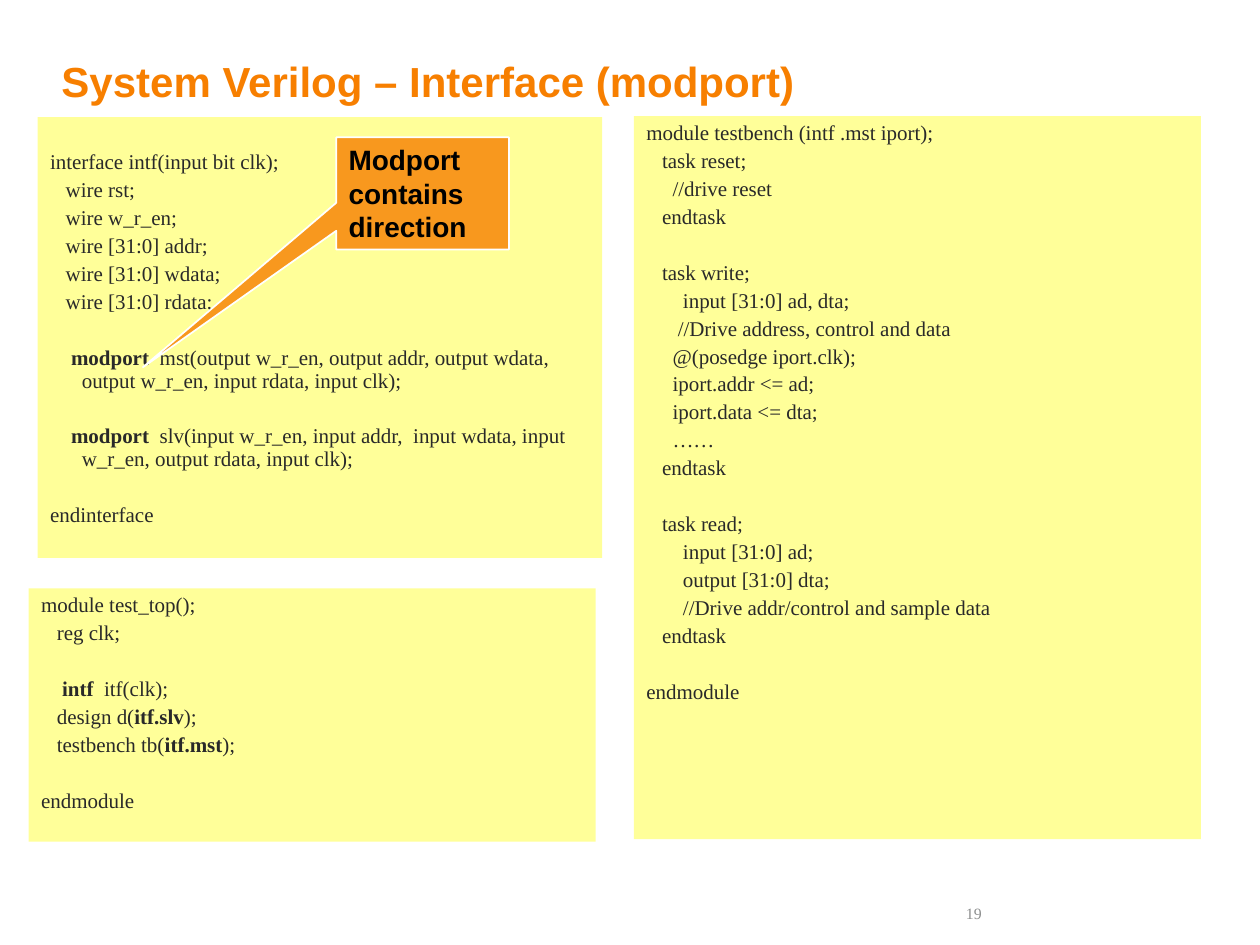
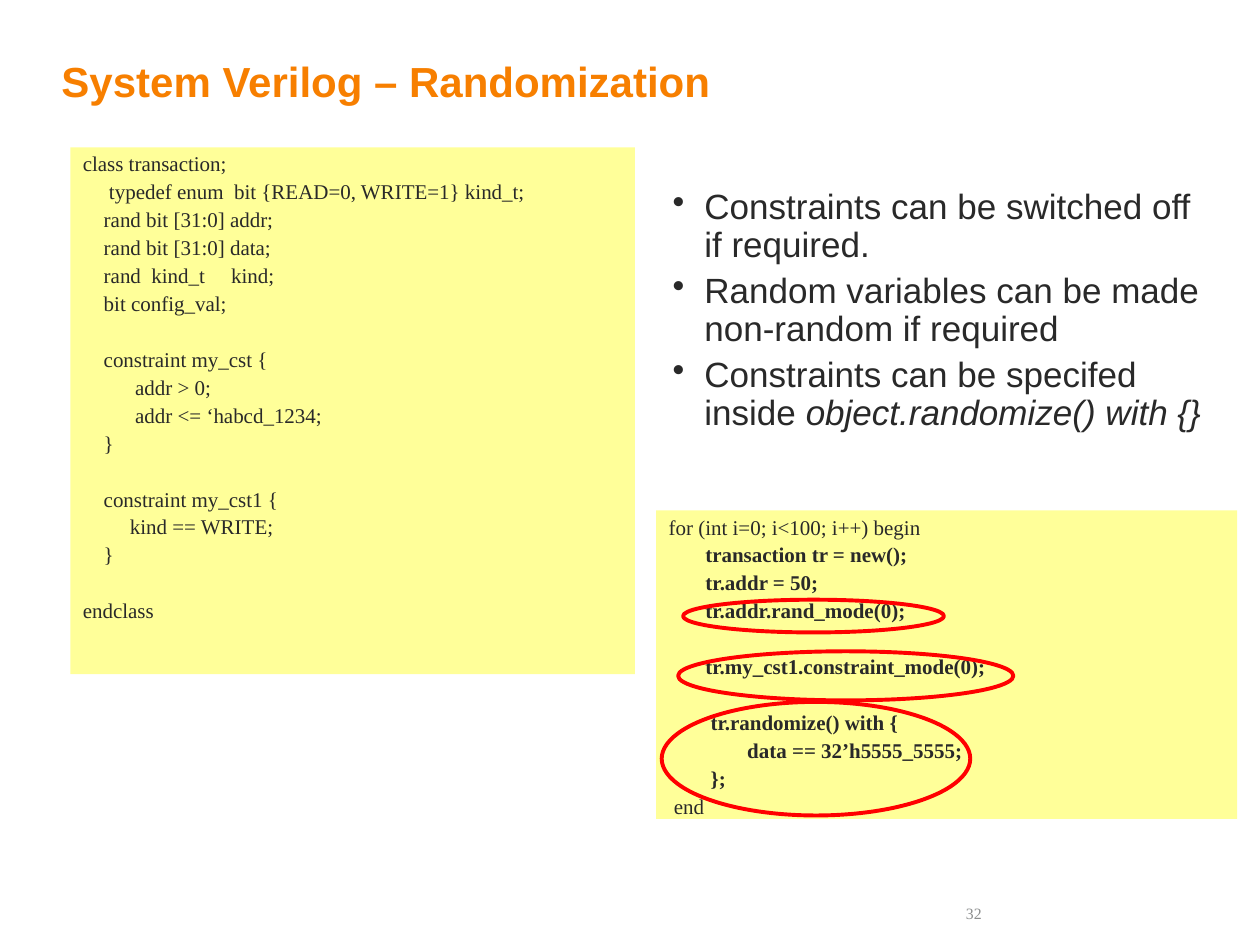
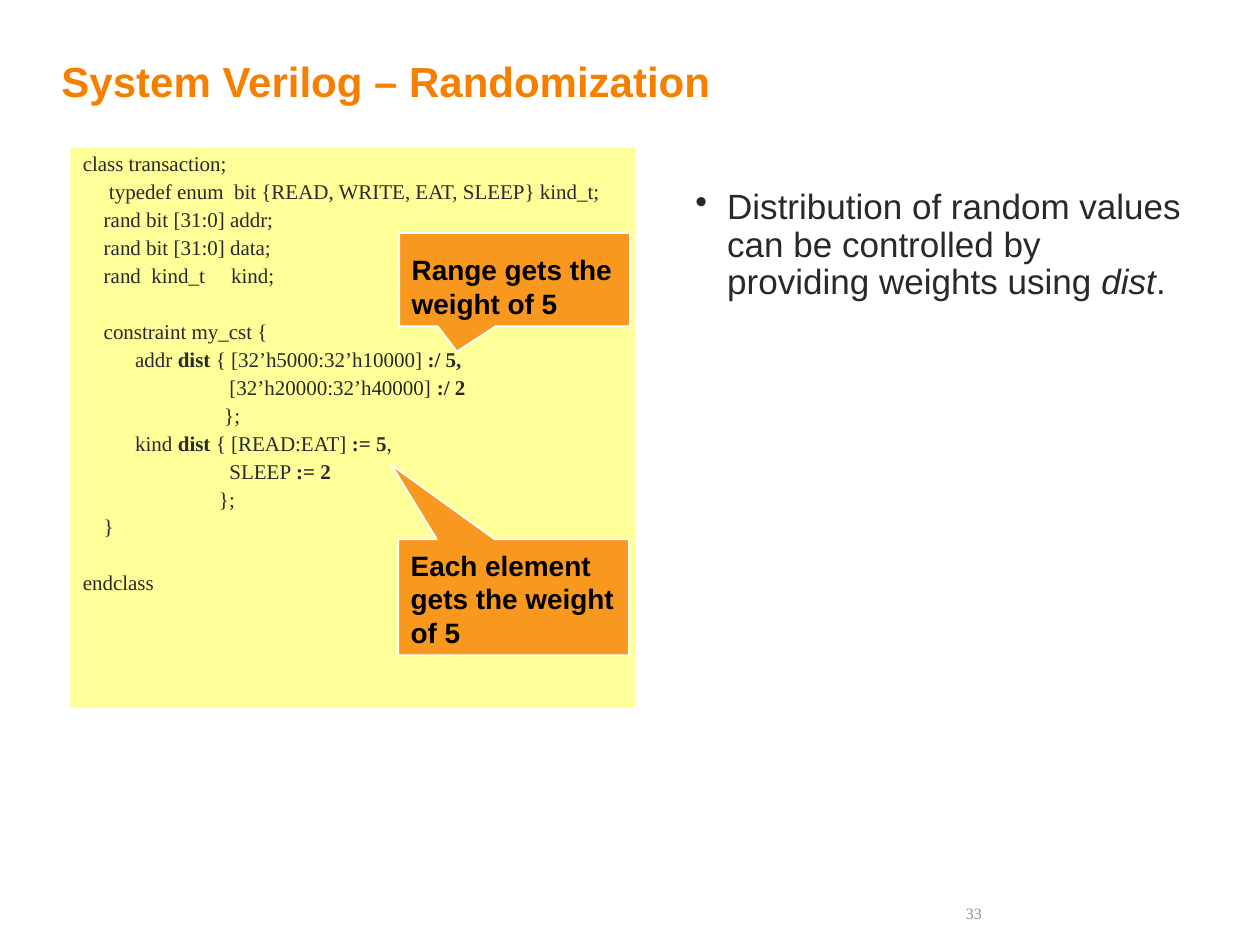
from lxml.etree import SubElement
from pptx import Presentation
from pptx.dml.color import RGBColor
from pptx.enum.shapes import MSO_SHAPE
from pptx.enum.text import MSO_ANCHOR, PP_ALIGN
from pptx.oxml.ns import qn
from pptx.util import Cm, Pt

COLORS = {
    "title": "F77F00",
    "callout": "F77F00",
    "callout_edge": "FFFFFF",
    "callout_text": "000000",
    "panel": "FFFF99",
    "body": "292929",
    "number": "8C8E8E",
    "highlight": "FF0000",
}
HEADING_FONT = "Arial"
CODE_FONT = "Times New Roman"
HANGING = Cm(0.64)
MARK = "**"

TESTBENCH = """
module testbench (intf .mst iport);
   task reset;
     //drive reset
   endtask

   task write;
       input [31:0] ad, dta;
      //Drive address, control and data
     @(posedge iport.clk);
     iport.addr <= ad;
     iport.data <= dta;
     ……
   endtask

   task read;
       input [31:0] ad;
       output [31:0] dta;
       //Drive addr/control and sample data
   endtask

endmodule
"""

TEST_TOP = """
module test_top();
   reg clk;

    **intf  **itf(clk);
   design d(**itf.slv**);
   testbench tb(**itf.mst**);

endmodule
"""

INTERFACE = """
interface intf(input bit clk);
   wire rst;
   wire w_r_en;
   wire [31:0] addr;
   wire [31:0] wdata;
   wire [31:0] rdata;

    **modport ** mst(output w_r_en, output addr, output wdata, output w_r_en, input rdata, input clk);

    **modport ** slv(input w_r_en, input addr,  input wdata, input w_r_en, output rdata, input clk);

endinterface
"""

CONSTRAINED_CLASS = """
class transaction;
     typedef enum  bit {READ=0, WRITE=1} kind_t;
    rand bit [31:0] addr;
    rand bit [31:0] data;
    rand  kind_t     kind;
    bit config_val;

    constraint my_cst {
          addr > 0;
          addr <= ‘habcd_1234;
    }

    constraint my_cst1 {
         kind == WRITE;
    }

endclass
"""

RANDOMIZE_LOOP = """
for (int i=0; i<100; i++) begin
**       transaction tr = new();**
       **tr.addr = 50;**
**       tr.addr.rand_mode(0);**

**       tr.my_cst1.constraint_mode(0);**

**        tr.randomize() with {**
**               data == 32’h5555_5555;**
**        };**
 end
"""

WEIGHTED_CLASS = """
class transaction;
     typedef enum  bit {READ, WRITE, EAT, SLEEP} kind_t;
    rand bit [31:0] addr;
    rand bit [31:0] data;
    rand  kind_t     kind;

    constraint my_cst {
          addr **dist **{ [32’h5000:32’h10000] **:/ 5,**
                            [32’h20000:32’h40000] **:/ 2**
                           };
          kind **dist **{ [READ:EAT] **:= 5**,
                            SLEEP **:= 2**
                          };
    }

endclass
"""

SWITCHING_POINTS = """
Constraints can be switched off if required.
Random variables can be made non-random if required
Constraints can be specifed inside **object.randomize() with {}**
"""

WEIGHT_POINTS = """
Distribution of random values can be controlled by providing weights using **dist**.
"""


def rgb(role):
    """Return the colour that the palette gives to a role."""
    return RGBColor.from_string(COLORS[role])


def hang(paragraph, bullet):
    """Give a paragraph a hanging indent and, if asked, a bullet."""
    properties = paragraph._p.get_or_add_pPr()
    properties.set("marL", str(HANGING))
    properties.set("indent", str(-HANGING))
    if bullet:
        tint = SubElement(properties, qn("a:buClr"))
        SubElement(tint, qn("a:srgbClr")).set("val", COLORS["body"])
        SubElement(properties, qn("a:buChar")).set("char", bullet)


def write(frame, text, *, font, size, color, bold=False, emphasis="bold",
          align=PP_ALIGN.LEFT, anchor=MSO_ANCHOR.TOP, inset=0.13,
          hanging=False, bullet=None):
    """Write lines into a frame, with empty lines as space and marks as emphasis."""
    frame.word_wrap = True
    frame.vertical_anchor = anchor
    frame.margin_top = Cm(inset)
    before, blank_line = size * 0.25, size * 1.33
    space = 0
    for index, line in enumerate(text.strip("\n").split("\n")):
        if not line:
            space += blank_line
            continue
        paragraph = frame.add_paragraph() if index else frame.paragraphs[0]
        paragraph.alignment = align
        if hanging:
            hang(paragraph, bullet)
            paragraph.line_spacing = 0.9
            paragraph.space_before = Pt(space)
        space = before
        for position, part in enumerate(line.split(MARK)):
            if part:
                run = paragraph.add_run()
                run.text = part
                run.font.name = font
                run.font.size = Pt(size)
                run.font.color.rgb = rgb(color)
                run.font.bold = bold
                if position % 2:
                    setattr(run.font, emphasis, True)


def add_text(slide, box, text, **style):
    """Add a text area at a box given in centimetres."""
    area = slide.shapes.add_textbox(*map(Cm, box))
    write(area.text_frame, text, **style)


def add_outline(slide, kind, box, fill=None, edge=None, width=1):
    """Add a preset shape with an optional fill and edge."""
    outline = slide.shapes.add_shape(kind, *map(Cm, box))
    outline.shadow.inherit = False
    if fill:
        outline.fill.solid()
        outline.fill.fore_color.rgb = rgb(fill)
    else:
        outline.fill.background()
    if edge:
        outline.line.color.rgb = rgb(edge)
        outline.line.width = Pt(width)
    else:
        outline.line.fill.background()
    return outline


def add_code(slide, box, code, inset=0.13):
    """Add a code listing on a yellow panel."""
    panel = add_outline(slide, MSO_SHAPE.RECTANGLE, box, fill="panel")
    write(panel.text_frame, code, font=CODE_FONT, size=12, color="body",
          hanging=True, inset=inset)


def add_points(slide, box, points):
    """Add bulleted points with italic emphasis."""
    add_text(slide, box, points, font=HEADING_FONT, size=20, color="body",
             emphasis="italic", hanging=True, bullet="•", inset=1.12)


def add_callout(slide, box, tip, message):
    """Add a translucent callout whose tip is an offset in box fractions."""
    callout = add_outline(slide, MSO_SHAPE.RECTANGULAR_CALLOUT, box,
                          fill="callout", edge="callout_edge")
    callout.adjustments[0], callout.adjustments[1] = tip
    tint = callout.fill._xPr.find(qn("a:solidFill"))[0]
    SubElement(tint, qn("a:alpha")).set("val", "80000")
    write(callout.text_frame, message, font=HEADING_FONT, size=16,
          color="callout_text", bold=True, anchor=MSO_ANCHOR.BOTTOM)


def add_highlight(slide, box):
    """Circle a part of the code in red."""
    add_outline(slide, MSO_SHAPE.OVAL, box, edge="highlight", width=2.25)


def start_slide(deck, title, number):
    """Add a slide with its title and number."""
    slide = deck.slides.add_slide(deck.slide_layouts[6])
    add_text(slide, (17.83, 18.08, 2.21, 0.64), number, font=CODE_FONT,
             size=9, color="number", align=PP_ALIGN.RIGHT)
    add_text(slide, (0.99, 0.89, 23.16, 2.21), title, font=HEADING_FONT,
             size=24, color="title", bold=True, inset=0.22)
    return slide


def build_modport(deck):
    """Build the slide on interfaces and modports."""
    slide = start_slide(deck, "System Verilog – Interface (modport)", "19")
    add_code(slide, (12.78, 2.34, 11.43, 14.58), TESTBENCH)
    add_code(slide, (0.58, 11.86, 11.43, 5.11), TEST_TOP)
    add_code(slide, (0.76, 2.36, 11.38, 8.89), INTERFACE, inset=0.7)
    add_callout(slide, (6.78, 2.77, 3.48, 2.26), (-1.62, 1.55),
                "Modport contains direction")


def build_switching(deck):
    """Build the slide on switching constraints off."""
    slide = start_slide(deck, "System Verilog – Randomization", "32")
    add_code(slide, (1.42, 2.97, 11.38, 10.62), CONSTRAINED_CLASS)
    add_points(slide, (13.31, 2.69, 11.25, 7.26), SWITCHING_POINTS)
    add_code(slide, (13.23, 10.29, 11.71, 6.22), RANDOMIZE_LOOP)
    for box in ((13.77, 12.09, 5.26, 0.66),
                (13.67, 13.13, 6.76, 0.99),
                (13.34, 14.15, 6.22, 2.29)):
        add_highlight(slide, box)


def build_weights(deck):
    """Build the slide on weighted distributions."""
    slide = start_slide(deck, "System Verilog – Randomization", "33")
    add_code(slide, (1.42, 2.97, 11.38, 11.3), WEIGHTED_CLASS)
    add_points(slide, (13.77, 2.69, 10.36, 8.23), WEIGHT_POINTS)
    add_callout(slide, (8.05, 4.7, 4.65, 1.88), (-0.25, 0.77),
                "Range gets the weight of 5")
    add_callout(slide, (8.03, 10.87, 4.65, 2.34), (-0.53, -1.14),
                "Each element gets the weight of 5")


def main():
    """Build the deck and save it."""
    deck = Presentation()
    deck.slide_width, deck.slide_height = Cm(25.4), Cm(19.05)
    build_modport(deck)
    build_switching(deck)
    build_weights(deck)
    deck.save("out.pptx")


if __name__ == "__main__":
    main()
